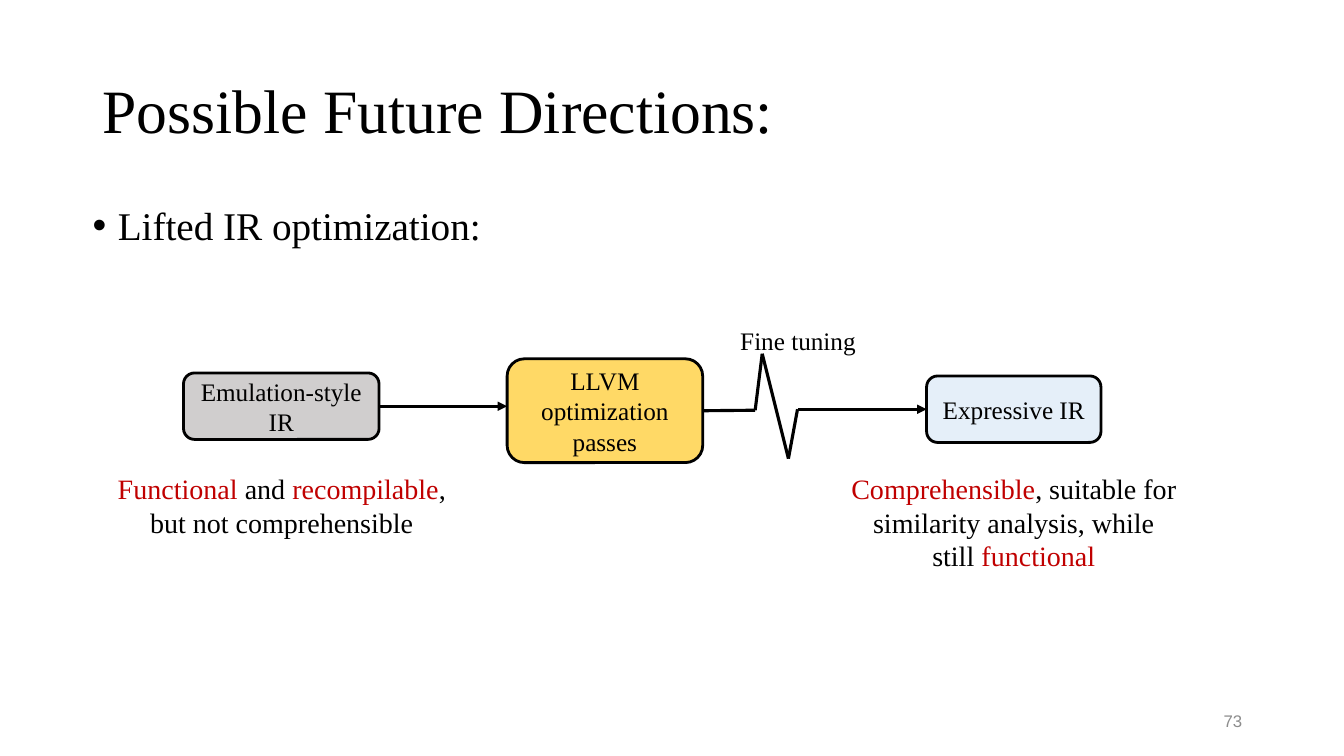
from dataclasses import dataclass

from lxml.etree import SubElement
from pptx import Presentation
from pptx.dml.color import RGBColor
from pptx.enum.shapes import MSO_CONNECTOR, MSO_SHAPE
from pptx.enum.text import MSO_ANCHOR, PP_ALIGN
from pptx.oxml.ns import qn
from pptx.shapes.autoshape import Shape
from pptx.shapes.connector import Connector
from pptx.slide import Slide
from pptx.util import Inches, Pt


@dataclass(frozen=True)
class Theme:
    serif: str = "Times New Roman"
    sans: str = "Arial"
    black: str = "000000"
    red: str = "C00000"
    muted: str = "8C8C8C"
    gray: str = "D0CECE"
    gold: str = "FFC000"
    blue: str = "E5EFF9"
    title: int = 44
    body: int = 28
    note: int = 20
    label: int = 18
    number: int = 12
    border: float = 2
    wire: float = 2.25


THEME = Theme()
Point = tuple[float, float]
Area = tuple[float, float, float, float]


@dataclass(frozen=True)
class Stage:
    area: Area
    text: str
    fill: str
    alpha: int = 100


@dataclass(frozen=True)
class Label:
    area: Area
    words: tuple[str, ...]
    size: int
    keys: tuple[str, ...] = ()  # words set in red
    font: str = THEME.serif
    color: str = THEME.black
    align: PP_ALIGN = PP_ALIGN.CENTER
    anchor: MSO_ANCHOR = MSO_ANCHOR.TOP
    spacing: float = 1.0


STAGES = (
    Stage((1.82, 3.7, 1.94, 0.66), "Emulation-style\nIR", THEME.gray),
    Stage((5.03, 3.56, 1.94, 1.03), "LLVM optimization passes", THEME.gold, 60),
    Stage((9.19, 3.73, 1.73, 0.66), "Expressive IR", THEME.blue),
)

TITLE = Label((0.92, 0.4, 11.5, 1.45), ("Possible Future Directions:",), THEME.title,
              align=PP_ALIGN.LEFT, anchor=MSO_ANCHOR.MIDDLE, spacing=0.9)
TOPIC = Label((0.82, 2, 11.36, 4.76), ("Lifted IR optimization:",), THEME.body,
              align=PP_ALIGN.LEFT, spacing=0.9)
LABELS = (
    Label((9.42, 6.95, 3, 0.4), ("73",), THEME.number, font=THEME.sans,
          color=THEME.muted, align=PP_ALIGN.RIGHT, anchor=MSO_ANCHOR.MIDDLE),
    Label((1.06, 4.63, 3.47, 0.77),
          ("Functional", " and ", "recompilable", ", but not comprehensible"),
          THEME.note, ("Functional", "recompilable")),
    Label((8.32, 4.63, 3.47, 1.11),
          ("Comprehensible", ", suitable for similarity analysis, while still ",
           "functional"),
          THEME.note, ("Comprehensible", "functional")),
    Label((7.05, 3.18, 1.73, 0.4), ("Fine tuning",), THEME.label),
)

# Corners of the pulse between the second and third stage
PULSE: tuple[Point, ...] = ((6.97, 4.07), (7.49, 4.07), (7.56, 3.51),
                            (7.82, 4.55), (7.91, 4.06), (9.19, 4.06))


def paint(run, size: int, color: str, font: str = THEME.serif) -> None:
    run.font.name = font
    run.font.size = Pt(size)
    run.font.color.rgb = RGBColor.from_string(color)


def add_label(slide: Slide, label: Label) -> Shape:
    box = slide.shapes.add_textbox(*map(Inches, label.area))
    frame = box.text_frame
    frame.word_wrap = True
    frame.vertical_anchor = label.anchor
    para = frame.paragraphs[0]
    para.alignment = label.align
    para.line_spacing = label.spacing
    for word in label.words:
        run = para.add_run()
        run.text = word
        paint(run, label.size, THEME.red if word in label.keys else label.color,
              label.font)
    return box


def add_bullet(box: Shape) -> None:
    para = box.text_frame.paragraphs[0]
    para.space_before = Pt(10)
    props = para._p.get_or_add_pPr()
    props.set("marL", str(Inches(0.25)))
    props.set("indent", str(Inches(-0.25)))
    SubElement(props, qn("a:buFont"), typeface=THEME.sans)
    SubElement(props, qn("a:buChar"), char="•")


def add_stage(slide: Slide, stage: Stage) -> Shape:
    box = slide.shapes.add_shape(MSO_SHAPE.ROUNDED_RECTANGLE,
                                 *map(Inches, stage.area))
    box.shadow.inherit = False
    box.fill.solid()
    box.fill.fore_color.rgb = RGBColor.from_string(stage.fill)
    if stage.alpha < 100:
        color = box._element.spPr.find(qn("a:solidFill"))[0]
        SubElement(color, qn("a:alpha"), val=str(stage.alpha * 1000))
    box.line.color.rgb = RGBColor.from_string(THEME.black)
    box.line.width = Pt(THEME.border)
    frame = box.text_frame
    frame.word_wrap = True
    frame.vertical_anchor = MSO_ANCHOR.MIDDLE
    frame.text = stage.text
    for para in frame.paragraphs:
        para.alignment = PP_ALIGN.CENTER
        for run in para.runs:
            paint(run, THEME.label, THEME.black)
    return box


def add_wire(slide: Slide, start: Point, end: Point, arrow: bool = False) -> Connector:
    wire = slide.shapes.add_connector(MSO_CONNECTOR.STRAIGHT,
                                      *map(Inches, start + end))
    wire.line.color.rgb = RGBColor.from_string(THEME.black)
    wire.line.width = Pt(THEME.wire)
    props = wire._element.spPr
    if arrow:
        SubElement(props.find(qn("a:ln")), qn("a:tailEnd"), type="triangle")
    SubElement(props, qn("a:effectLst"))
    return wire


def main() -> None:
    deck = Presentation()
    deck.slide_width, deck.slide_height = Inches(13.33), Inches(7.5)
    slide = deck.slides.add_slide(deck.slide_layouts[6])

    # Heading and topic
    add_label(slide, TITLE)
    add_bullet(add_label(slide, TOPIC))

    # Stages
    source, passes, result = [add_stage(slide, stage) for stage in STAGES]

    # Pulse, whose last leg is an arrow
    legs = [add_wire(slide, start, end, arrow=end == PULSE[-1])
            for start, end in zip(PULSE, PULSE[1:])]
    legs[0].begin_connect(passes, 3)
    legs[-1].end_connect(result, 1)

    # Arrow into the passes, level with the first stage
    feed = add_wire(slide, (3.76, 4.03), (5.03, 4.03), arrow=True)
    feed.begin_connect(source, 3)

    # Notes and page number
    for label in LABELS:
        add_label(slide, label)

    deck.save("out.pptx")


if __name__ == "__main__":
    main()
